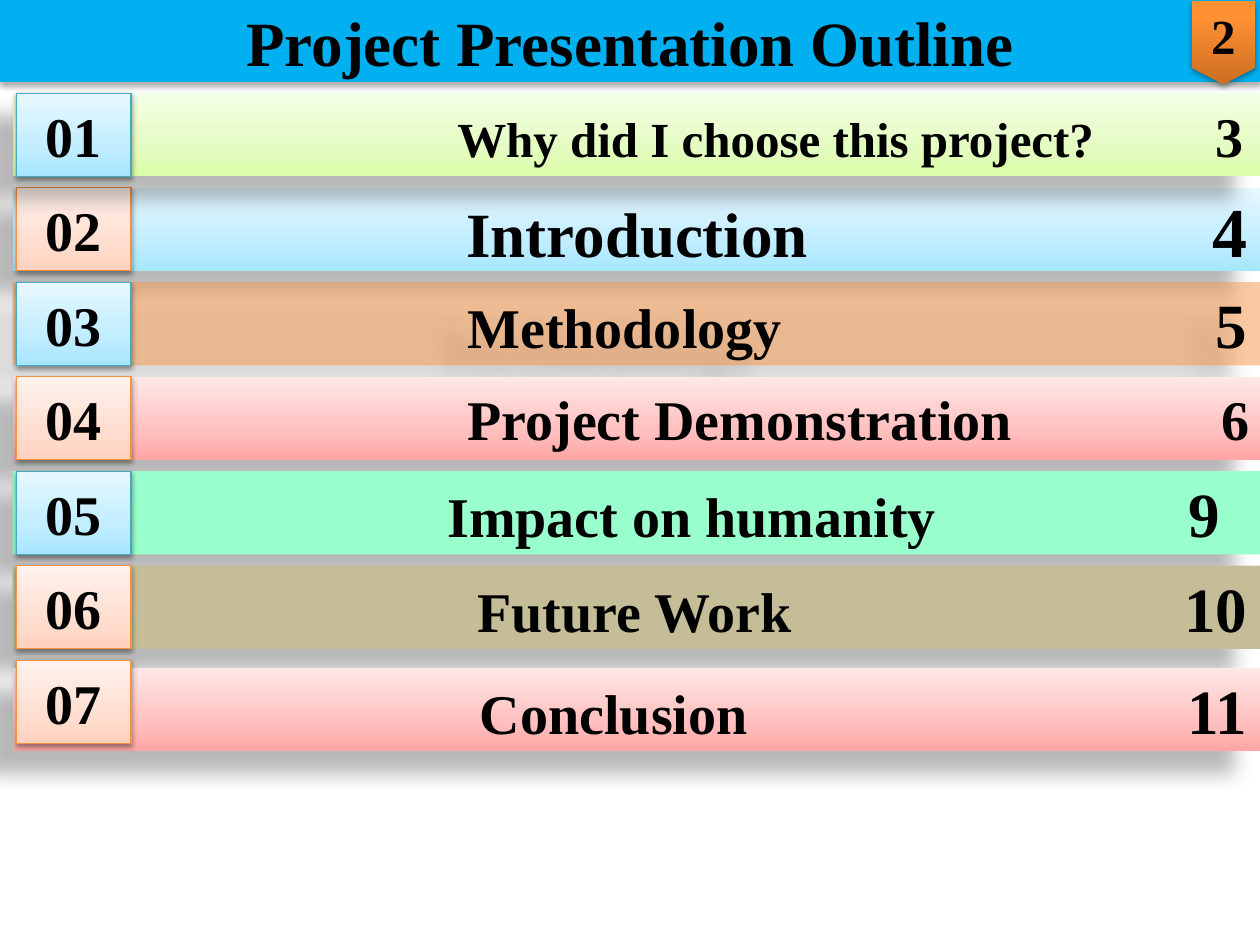
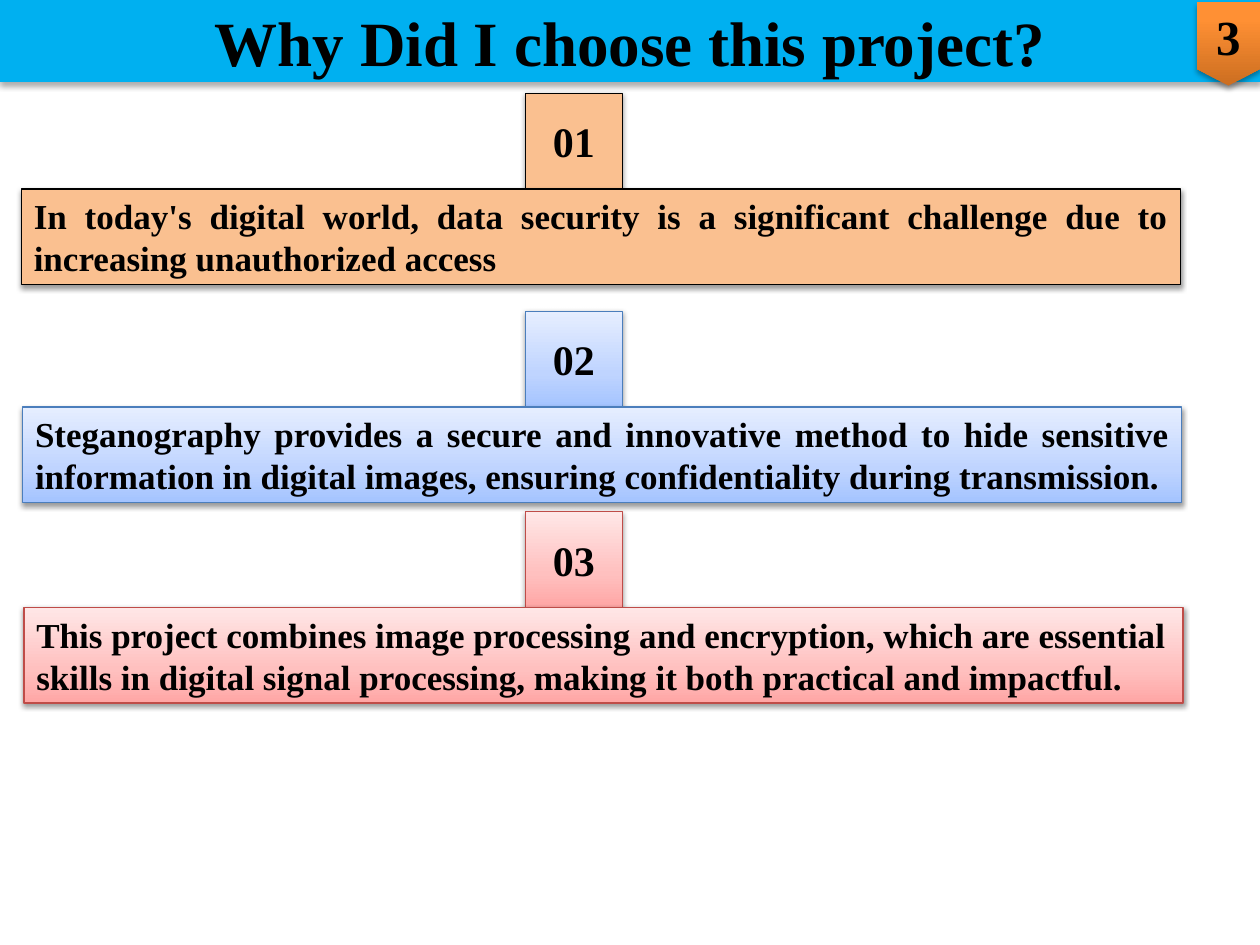
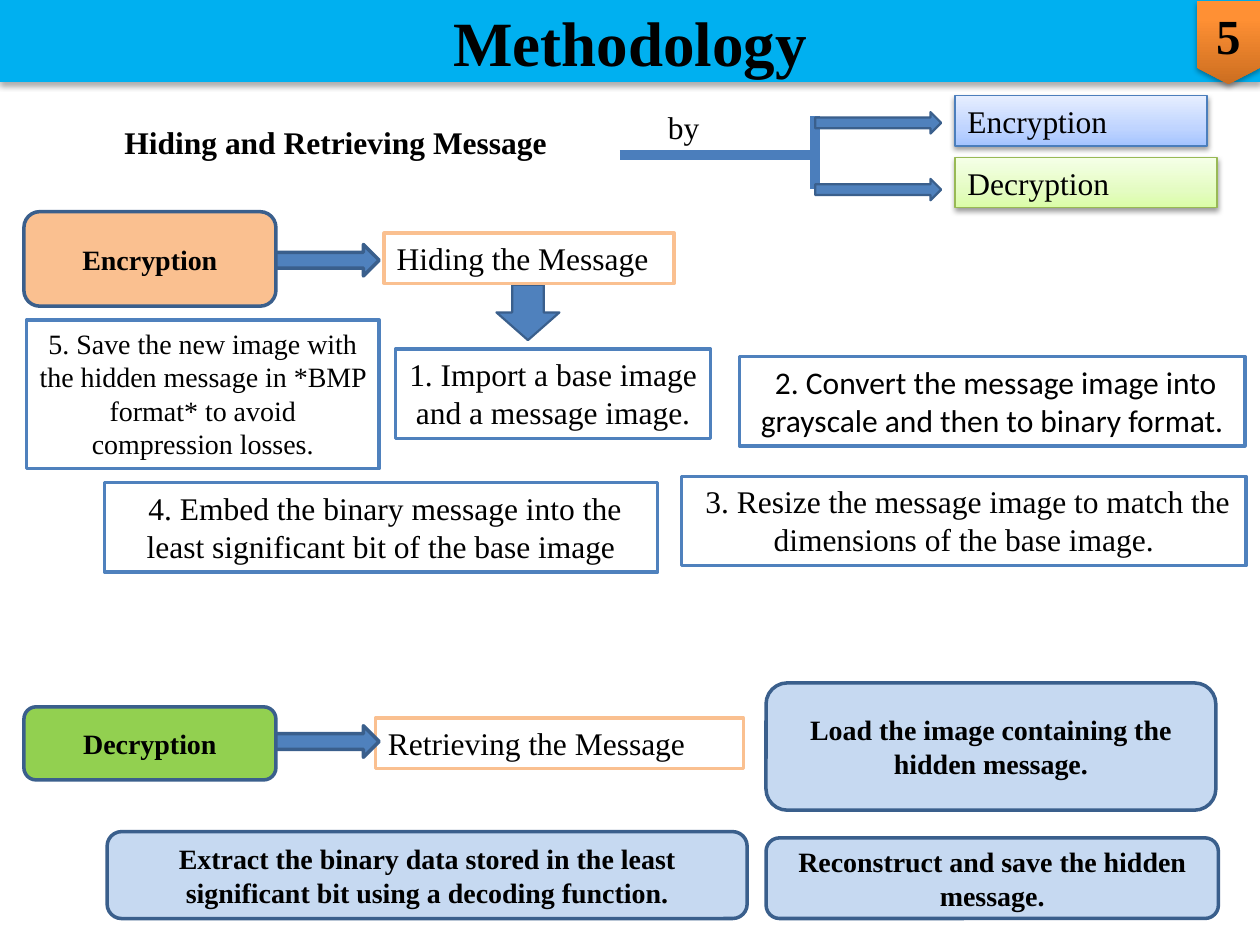
from typing import NamedTuple

from lxml import etree
from pptx import Presentation
from pptx import util as u
from pptx.dml.color import RGBColor
from pptx.enum import shapes, text
from pptx.oxml import ns

CELL = 0.1
SERIF = "Times New Roman"
COLOURS = {
    "ink": "000000", "paper": "FFFFFF", "band": "00B0F0",
    "orange": "F79646", "orange_line": "F69240", "peach": "FAC090",
    "mint": "99FFCC", "khaki": "C4BD97", "green": "92D050",
    "green_line": "98B955", "aqua_line": "46AAC5", "red_line": "BF4C48",
    "blue": "4F81BD", "blue_line": "4B7EBC", "navy": "3A5F8C", "pale": "C6D9F1",
}
GRADIENTS = {
    "aqua_fade": {0: "A7E6FF", 35: "C1EDFF", 100: "E7F8FF"},
    "peach_fade": {0: "FFD2BD", 35: "FFDED0", 100: "FFF2ED"},
    "red_fade": {0: "FFA6A5", 35: "FFC0BF", 100: "FFE7E7"},
    "lime_fade": {0: "DAFDA7", 35: "E4FCC2", 100: "F5FFE7"},
    "blue_fade": {0: "A4C4FF", 35: "BFD4FF", 100: "E6EEFF"},
    "ribbon_fade": {0: "CC6E20", 80: "FF9034", 100: "FF9136"},
}
SHADOWS = {
    "band": (32, 3.5, 2.2, 90), "bar": (28, 11.8, 19.7, 141),
    "card": (38, 3.1, 1.6, 90), "ribbon": (35, 3.1, 1.8, 90),
}
SHAPE = shapes.MSO_SHAPE
CENTER, LEFT, JUSTIFY = text.PP_ALIGN.CENTER, text.PP_ALIGN.LEFT, text.PP_ALIGN.JUSTIFY
TOP, MIDDLE = text.MSO_ANCHOR.TOP, text.MSO_ANCHOR.MIDDLE


class Box(NamedTuple):
    """A rectangle in grid cells."""
    left: float
    top: float
    width: float
    height: float

    def within(self, left, top, width, height):
        """Return a box placed from this box's corner."""
        return Box(self.left + left, self.top + top, width, height)

    def lengths(self):
        """Return the four sides as slide lengths."""
        return [cells(value) for value in self]


PAGE = Box(0, 0, 100, 75)


def cells(count):
    """Turn a number of grid cells into a length."""
    return u.Inches(count * CELL)


def rgb(name):
    """Return a named colour."""
    return RGBColor.from_string(COLOURS[name])


def add_xml(parent, tag, **attributes):
    """Append a drawing element with the given attributes."""
    values = {key: str(value) for key, value in attributes.items()}
    return etree.SubElement(parent, ns.qn(tag), values)


def paint(shape, fill, line=None, width=0.75, shadow=None, alpha=None):
    """Set the fill, outline and shadow of a shape."""
    properties = shape._element.spPr
    if fill in GRADIENTS:
        shape.fill.gradient()
        shape.fill.gradient_angle = 90
        stops = properties.find(".//" + ns.qn("a:gsLst"))
        stops.clear()
        for position, value in GRADIENTS[fill].items():
            add_xml(add_xml(stops, "a:gs", pos=position * 1000), "a:srgbClr", val=value)
    else:
        shape.fill.solid()
        shape.fill.fore_color.rgb = rgb(fill)
        if alpha:
            colour = properties.find(".//" + ns.qn("a:srgbClr"))
            add_xml(colour, "a:alpha", val=alpha * 1000)
    if line:
        shape.line.color.rgb = rgb(line)
        shape.line.width = u.Pt(width)
    else:
        shape.line.fill.background()
    shape.shadow.inherit = False
    if shadow:
        opacity, blur, distance, angle = SHADOWS[shadow]
        outer = add_xml(properties.find(ns.qn("a:effectLst")), "a:outerShdw",
                        blurRad=u.Pt(blur), dist=u.Pt(distance),
                        dir=angle * 60000, rotWithShape=0)
        add_xml(add_xml(outer, "a:srgbClr", val=COLOURS["ink"]),
                "a:alpha", val=opacity * 1000)


def write(shape, runs, align=CENTER, anchor=MIDDLE, bold=True, font=SERIF):
    """Write runs of (words, size) as one paragraph and return it."""
    frame = shape.text_frame
    frame.word_wrap = True
    frame.auto_size = text.MSO_AUTO_SIZE.NONE
    frame.vertical_anchor = anchor
    paragraph = frame.paragraphs[0]
    paragraph.alignment = align
    for words, size in runs:
        run = paragraph.add_run()
        run.text = words
        run.font.name = font
        run.font.size = u.Pt(size)
        run.font.bold = bold
        run.font.color.rgb = rgb("ink")
    return paragraph


def add_shape(slide, kind, box, fill, **style):
    """Add a painted preset shape."""
    shape = slide.shapes.add_shape(kind, *box.lengths())
    paint(shape, fill, **style)
    return shape


def add_line(slide, box):
    """Add a thick line across a box."""
    left, top, width, height = box.lengths()
    line = slide.shapes.add_connector(shapes.MSO_CONNECTOR.STRAIGHT,
                                      left, top, left + width, top + height)
    line.line.color.rgb = rgb("blue_line")
    line.line.width = u.Pt(5.5)
    add_xml(line._element.spPr, "a:effectLst")


def add_arrow(slide, box, width=1.25, rotation=0):
    """Add a blue block arrow."""
    arrow = add_shape(slide, SHAPE.RIGHT_ARROW, box, "blue", line="navy", width=width)
    arrow.rotation = rotation


def add_label(slide, box, words, bold=False, align=LEFT):
    """Add a plain text label."""
    label = slide.shapes.add_textbox(*box.lengths())
    write(label, [(words, 18)], align, TOP, bold)


def add_step(slide, box, words, line="blue", size=18, align=CENTER, font=SERIF):
    """Add a white outlined box of text."""
    step = add_shape(slide, SHAPE.RECTANGLE, box, "paper", line=line, width=2)
    write(step, [(words, size)], align, TOP, False, font)


def add_rounded(slide, box, words, fill="pale"):
    """Add a rounded box with bold text."""
    rounded = add_shape(slide, SHAPE.ROUNDED_RECTANGLE, box, fill, line="navy", width=2)
    write(rounded, [(words, 16)])


def add_titled_slide(presentation, title, number, ribbon_left=95, ribbon_top=0.1):
    """Add a slide with its title band and page ribbon."""
    slide = presentation.slides.add_slide(presentation.slide_layouts[5])
    band = slide.shapes.title
    band.left, band.top, band.width, band.height = PAGE.within(0, 0, 100, 6.5).lengths()
    paint(band, "band", shadow="band")
    write(band, [(title, 36)])
    ribbon = add_shape(slide, SHAPE.FLOWCHART_OFFPAGE_CONNECTOR,
                       PAGE.within(ribbon_left, ribbon_top, 5, 6.6),
                       "ribbon_fade", shadow="ribbon")
    write(ribbon, [(number, 28)])
    return slide


def add_outline_bar(slide, box, label, page, label_at, page_end, fill, alpha=None):
    """Add a bar whose label and page number sit on tab stops."""
    bar = add_shape(slide, SHAPE.RECTANGLE, box, fill, shadow="bar", alpha=alpha)
    paragraph = write(bar, [("\t" + label[0], label[1]), ("\t" + page[0], page[1])], LEFT)
    bar.text_frame.margin_left = bar.text_frame.margin_right = 0
    stops = add_xml(paragraph._p.get_or_add_pPr(), "a:tabLst")
    for position, side in ((label_at, "l"), (page_end, "r")):
        add_xml(stops, "a:tab", pos=cells(position - box.left), algn=side)


def add_outline_number(slide, box, index):
    """Add the number tile of an outline row."""
    blue = index in (0, 2, 4)
    tile = add_shape(slide, SHAPE.RECTANGLE, box, "aqua_fade" if blue else "peach_fade",
                     line="aqua_line" if blue else "orange_line", shadow="card")
    write(tile, [(f"{index + 1:02}", 32)])


def build_outline(presentation):
    """Build the outline slide."""
    slide = add_titled_slide(presentation, "Project Presentation Outline", "2", 94.6)
    area = PAGE.within(1, 7.4, 99, 52.5)
    rows = [
        (("Why did I choose this project?", 28), ("3", 32), 36.3, 98.7, "lime_fade"),
        (("Introduction", 36), ("4", 40), 37, 99, "aqua_fade"),
        (("Methodology", 32), ("5", 36), 37.1, 99, "orange", 50),
        (("Project Demonstration", 32), ("6", 32), 37.1, 99.2, "red_fade"),
        (("Impact on humanity", 32), ("9", 36), 35.5, 96.8, "mint"),
        (("Future Work", 32), ("10", 36), 37.9, 99, "khaki"),
        (("Conclusion", 32), ("11", 36), 38.1, 99, "red_fade"),
    ]
    pitch = area.height / len(rows)
    last = len(rows) - 1
    for group in (range(1, last), [0], [last]):
        for index in group:
            drop = 0.6 if index == last else 0
            add_outline_bar(slide, area.within(0, index * pitch + drop, area.width, 6.6),
                            *rows[index])
        for index in group:
            add_outline_number(slide, area.within(0.3, index * pitch, 9.1, 6.6), index)


def add_reason(slide, box, number, words, fill, line, align):
    """Add a numbered tab above a wide statement."""
    half = box.height / 2
    style = {"line": line, "shadow": "card"}
    tab = add_shape(slide, SHAPE.RECTANGLE, Box(41.7, box.top, 7.7, half), fill, **style)
    write(tab, [(number, 24)])
    statement = add_shape(slide, SHAPE.RECTANGLE, box.within(0, half, box.width, half),
                          fill, **style)
    write(statement, [(words, 20)], align)


def build_reasons(presentation):
    """Build the slide of reasons."""
    slide = add_titled_slide(presentation, "Why Did I choose this project?", "3",
                             ribbon_top=0.2)
    reasons = [
        (1.7, 7.4, "In today's digital world, data security is a significant challenge "
         "due to increasing unauthorized access", "peach", "ink", JUSTIFY),
        (1.8, 24.7, "Steganography provides a secure and innovative method to hide "
         "sensitive information in digital images, ensuring confidentiality during "
         "transmission.", "blue_fade", "blue_line", JUSTIFY),
        (1.9, 40.6, "This project combines image processing and encryption, which are "
         "essential skills in digital signal processing, making it both practical and "
         "impactful.", "red_fade", "red_line", LEFT),
    ]
    for index, (left, top, *content) in enumerate(reasons, 1):
        add_reason(slide, PAGE.within(left, top, 92, 15.2), f"{index:02}", *content)


def add_overview(slide, box):
    """Add the branch from the topic to its two methods."""
    add_label(slide, box.within(0, 1.7, 46.7, 4), "Hiding and Retrieving Message", True, CENTER)
    add_line(slide, box.within(45.9, 4.7, 15.5, 0))
    add_label(slide, box.within(48.1, 0.5, 14.2, 4), " by")
    add_line(slide, box.within(61.4, 1.6, 0, 5.8))
    methods = [
        ("Encryption", 0, 1.3, 20, "blue_fade", "blue_line"),
        ("Decryption", 4.9, 6.6, 20.8, "lime_fade", "green_line"),
    ]
    for words, top, arrow_top, width, fill, line in methods:
        add_arrow(slide, box.within(61.4, arrow_top, 10, 1.7))
        method = add_shape(slide, SHAPE.RECTANGLE, box.within(72.5, top, width, 4),
                           fill, line=line, shadow="card")
        write(method, [(words, 18)], LEFT, TOP, False)


def add_stage(slide, box, name, fill, message, message_box, arrow_top):
    """Add a stage box with an arrow to its message."""
    add_step(slide, message_box, message, "peach", align=JUSTIFY)
    add_arrow(slide, box.within(19.9, arrow_top, 8.3, 2.5), 2)
    add_rounded(slide, box, name, fill)


def add_encryption(slide, box):
    """Add the encryption stage and its five steps."""
    add_arrow(slide, box.within(37.8, 5.5, 4.4, 5), rotation=90)
    add_stage(slide, box.within(0, 0, 20, 7.5), "Encryption", "peach",
              "Hiding the Message", box.within(28.6, 1.7, 23, 4), 2.6)
    steps = [
        ((29.5, 10.9, 25, 7.1), "1. Import a base image and a message image."),
        ((56.8, 11.5, 40.1, 7.1), " 2. Convert the message image into grayscale and "
         "then to binary format.", "blue", 18, CENTER, "Calibri"),
        ((52.2, 21, 44.8, 7.1), " 3. Resize the message image to match the dimensions "
         "of the base image."),
        ((6.4, 21.5, 43.9, 7.1), " 4. Embed the binary message into the least "
         "significant bit of the base image"),
        ((0.2, 8.6, 28, 11.8), "5. Save the new image with the hidden message in *BMP "
         "format* to avoid compression losses.", "blue", 16),
    ]
    for place, *content in steps:
        add_step(slide, box.within(*place), *content)


def add_decryption(slide, box):
    """Add the decryption stage and its three steps."""
    add_stage(slide, box.within(0, 1.9, 20, 5.8), "Decryption", "green",
              "Retrieving the Message", box.within(27.9, 2.8, 29.2, 4), 1.5)
    steps = [
        ((58.9, 0, 35.7, 10.1), "Load the image containing the hidden message."),
        ((6.6, 11.8, 50.8, 6.9), "Extract the binary data stored in the least "
         "significant bit using a decoding function."),
        ((58.9, 12.3, 35.9, 6.4), "Reconstruct and save the hidden message."),
    ]
    for place, words in steps:
        add_rounded(slide, box.within(*place), words)


def build_methodology(presentation):
    """Build the methodology slide."""
    slide = add_titled_slide(presentation, "Methodology", "5")
    add_overview(slide, PAGE.within(3.3, 7.6, 93.3, 8.9))
    add_encryption(slide, PAGE.within(1.9, 16.8, 97, 28.6))
    add_decryption(slide, PAGE.within(1.9, 54.2, 94.8, 18.7))


def main():
    """Build and save the slides."""
    presentation = Presentation()
    presentation.slide_width = cells(PAGE.width)
    presentation.slide_height = cells(PAGE.height)
    build_outline(presentation)
    build_reasons(presentation)
    build_methodology(presentation)
    presentation.save("out.pptx")


if __name__ == "__main__":
    main()
